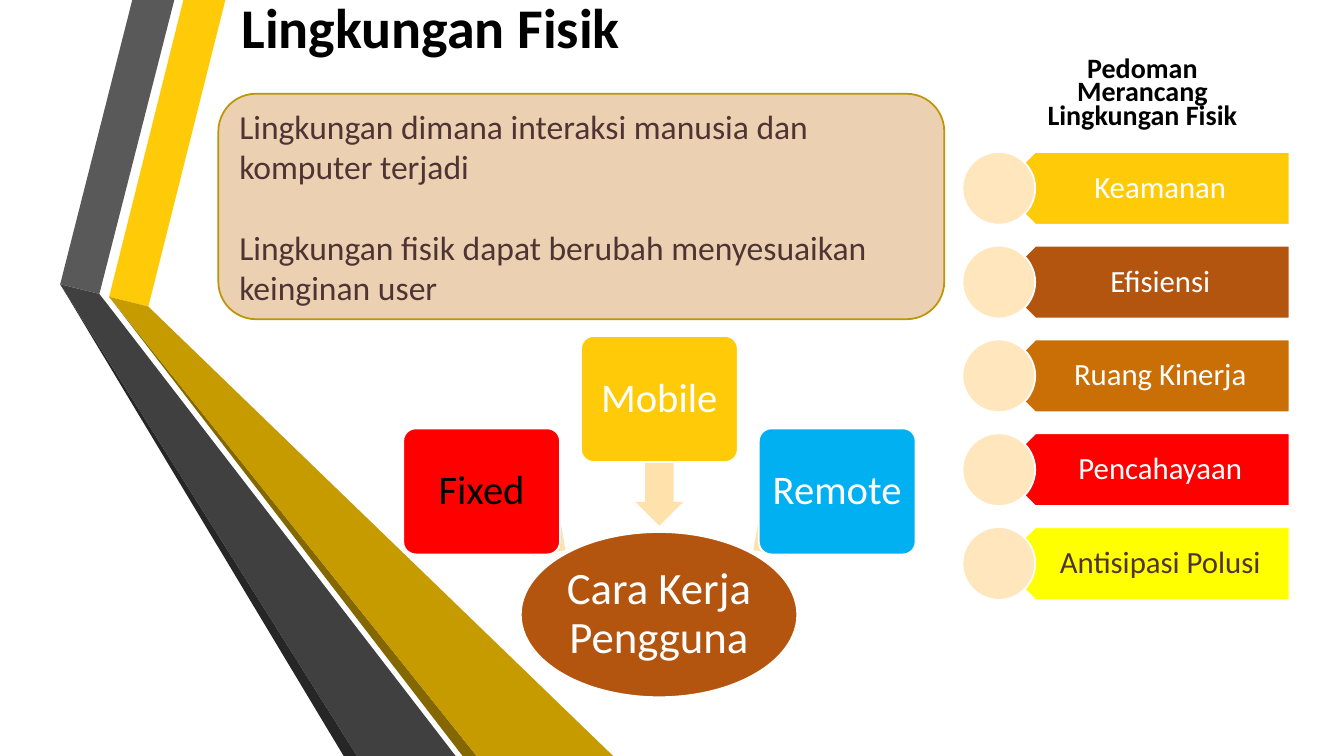
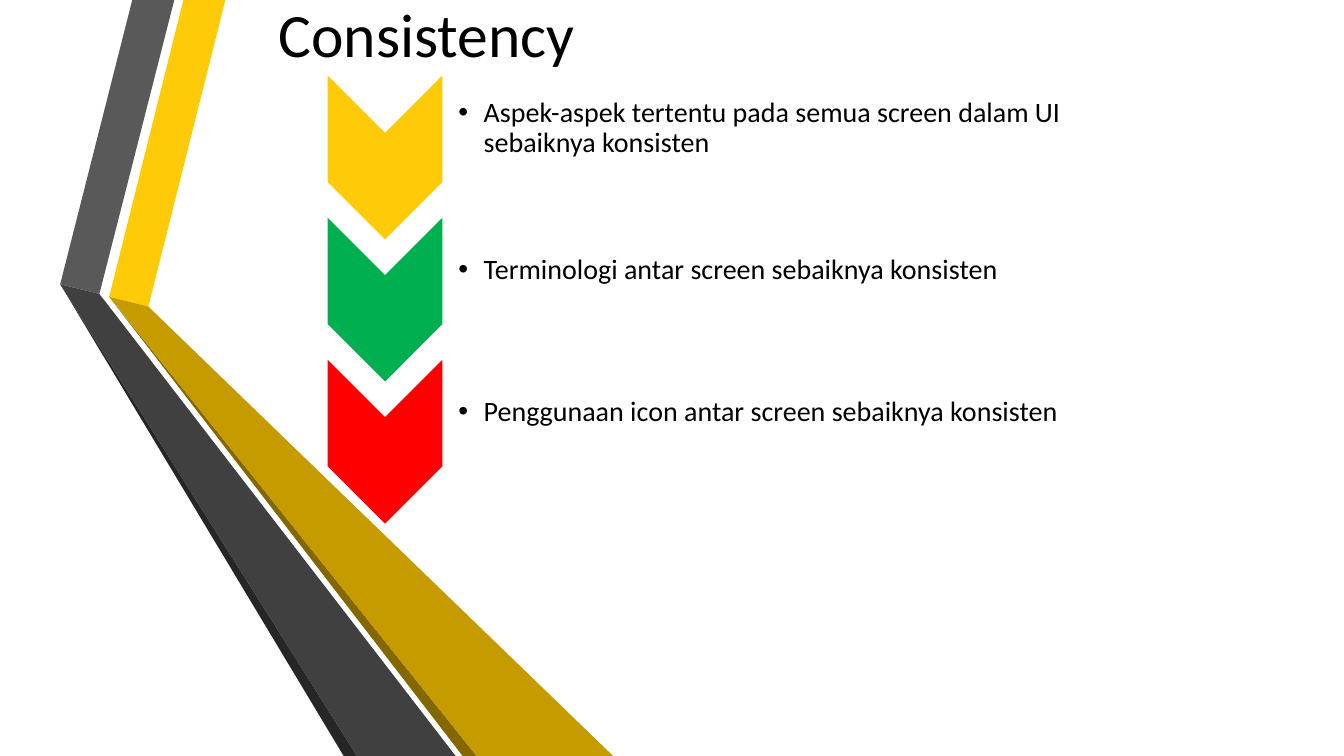
from lxml.etree import SubElement
from pptx import Presentation
from pptx.dml.color import RGBColor
from pptx.enum.shapes import MSO_SHAPE as Preset
from pptx.enum.text import MSO_ANCHOR as Anchor, PP_ALIGN as Align
from pptx.oxml.ns import qn
from pptx.util import Pt

FONT = "Calibri"
BLACK, WHITE, BROWN = "000000", "FFFFFF", "4F3434"
GOLD, RUST, OCHRE, RED = "FFCA08", "B3540F", "CA6F06", "FF0000"
YELLOW, GREEN, BLUE = "FFFF00", "00B050", "00B0F0"
SAND, SAND_EDGE, CREAM, PEACH = "EBD1B2", "BD9506", "FFE6BD", "FFE1AB"

BANDS = [
    (GOLD, [(78, 212), (106, 219), (161, 0), (131, 0)]),
    ("595959", [(71, 210), (124.5, 0), (94.5, 0), (43, 203)]),
    ("262626", [(43, 203), (245.5, 540), (255, 540)]),
    ("846700", [(340.5, 540), (78, 212), (330.5, 540)]),
    ("C59B00", [(78, 212), (340.5, 540), (438, 540), (106, 219)]),
    ("404040", [(325.5, 540), (76.5, 217), (71, 210), (43, 203), (255, 540)]),
]


def rgb(value):
    return RGBColor.from_string(value)


def assign(target, values):
    for name, value in values.items():
        setattr(target, name, value)


class Deck:
    """Holds the shared style and the slide being drawn."""

    def __init__(self):
        self.presentation = Presentation()
        assign(self.presentation, {"slide_width": Pt(960), "slide_height": Pt(540)})
        self.slide = None

    def new_slide(self):
        self.slide = self.presentation.slides.add_slide(self.presentation.slide_layouts[6])
        for color, points in BANDS:
            self.band(color, points)

    def band(self, color, points):
        corners = [(Pt(x), Pt(y)) for x, y in points]
        builder = self.slide.shapes.build_freeform(*corners[0])
        builder.add_line_segments(corners[1:], close=True)
        self.paint(builder.convert_to_shape(), color)

    def paint(self, shape, fill, line=None):
        shape.shadow.inherit = False
        shape.fill.solid()
        shape.fill.fore_color.rgb = rgb(fill)
        if line:
            shape.line.color.rgb = rgb(line)
            shape.line.width = Pt(1.25)
        else:
            shape.line.fill.background()

    def shape(self, preset, box, fill, line=None, rotation=0, adjustments=()):
        shape = self.slide.shapes.add_shape(preset, *map(Pt, box))
        self.paint(shape, fill, line)
        shape.rotation = rotation
        for index, value in enumerate(adjustments):
            shape.adjustments[index] = value
        return shape

    def text(self, box, paragraphs, size, **style):
        shape = self.slide.shapes.add_textbox(*map(Pt, box))
        self.fill_text(shape, paragraphs, size, **style)

    def fill_text(self, shape, paragraphs, size, color=BLACK, bold=False, align=Align.CENTER,
                  anchor=Anchor.MIDDLE, insets=(7.2, 3.6, 7.2, 3.6), spacing=0.9, gap=0,
                  bullet=False):
        frame = shape.text_frame
        sides = ("margin_left", "margin_top", "margin_right", "margin_bottom")
        assign(frame, {"word_wrap": True, "vertical_anchor": anchor})
        assign(frame, dict(zip(sides, map(Pt, insets))))
        for index, content in enumerate(paragraphs):
            paragraph = frame.add_paragraph() if index else frame.paragraphs[0]
            if bullet:
                self.bullet(paragraph)
            assign(paragraph, {"alignment": align, "line_spacing": spacing})
            if index and gap:
                paragraph.space_before = Pt(gap)
            run = paragraph.add_run()
            run.text = content
            assign(run.font, {"name": FONT, "size": Pt(size), "bold": bold})
            run.font.color.rgb = rgb(color)

    def bullet(self, paragraph):
        properties = paragraph._p.get_or_add_pPr()
        properties.set("marL", str(Pt(18)))
        properties.set("indent", str(Pt(-18)))
        SubElement(properties, qn("a:buFont"), typeface="Arial")
        SubElement(properties, qn("a:buChar"), char="•")

    def title(self, content, left, bottom, size, bold=False):
        self.text((left, bottom - 50, 565, 50), [content], size, bold=bold,
                  align=Align.LEFT, anchor=Anchor.BOTTOM)

    def guideline(self, top, label, fill, color):
        self.shape(Preset.PENTAGON, (713.5, top, 207.5, 52), fill, WHITE, rotation=180)
        self.text((726, top, 194.5, 52), [label], 22, color=color, insets=(23, 6.5, 12, 6.5))
        self.shape(Preset.OVAL, (687.5, top, 52, 52), CREAM, WHITE)

    def mode(self, left, top, label, fill, color, arrow, rotation):
        center_x, center_y, length = arrow
        self.shape(Preset.LEFT_ARROW, (center_x - length / 2, center_y - 17, length, 34),
                   PEACH, rotation=rotation, adjustments=(0.6, 0.5))
        card = self.shape(Preset.ROUNDED_RECTANGLE, (left, top, 112, 90), fill, WHITE,
                          adjustments=(0.1,))
        self.fill_text(card, [label], 29, color=color, insets=(4, 4, 4, 4))

    def aspect(self, top, content, fill):
        self.shape(Preset.CHEVRON, (216.5, top + 17.5, 117, 82), fill, rotation=90)
        self.text((316, top + 3.5, 484.5, 68.5), [content], 20, align=Align.LEFT,
                  insets=(11.5, 1, 1, 1), bullet=True)


def physical_environment(deck):
    deck.new_slide()
    deck.title("Lingkungan Fisik", 165.5, 47, 40, bold=True)
    definition = deck.shape(Preset.ROUNDED_RECTANGLE, (156, 67, 518.5, 161), SAND, SAND_EDGE)
    deck.fill_text(definition, ["Lingkungan dimana interaksi manusia dan komputer terjadi",
                                "Lingkungan fisik dapat berubah menyesuaikan keinginan user"],
                   24, color=BROWN, align=Align.LEFT, spacing=1.0, gap=29)

    guidelines = [("Keamanan", GOLD, WHITE), ("Efisiensi", RUST, WHITE),
                  ("Ruang Kinerja", OCHRE, WHITE), ("Pencahayaan", RED, WHITE),
                  ("Antisipasi Polusi", YELLOW, BROWN)]
    for row, guideline in enumerate(guidelines):
        deck.guideline(108.5 + 67 * row, *guideline)
    deck.text((726, 39, 180, 64), ["Pedoman Merancang Lingkungan Fisik"], 20, bold=True,
              anchor=Anchor.TOP, spacing=0.7)

    hub = deck.shape(Preset.OVAL, (372, 380, 197.5, 118), RUST, WHITE)
    deck.fill_text(hub, ["Cara Kerja Pengguna"], 32, color=WHITE, insets=(1.5, 1.5, 1.5, 1.5))
    modes = [(306, "Fixed", RED, BLACK, (374, 372, 73), 215),
             (240, "Mobile", GOLD, WHITE, (471, 330, 91), 270),
             (306, "Remote", BLUE, WHITE, (568, 372, 73), 325)]
    for column, mode in enumerate(modes):
        deck.mode(288 + 127 * column, *mode)


def consistency(deck):
    deck.new_slide()
    deck.title("Consistency", 192, 54, 44)
    aspects = [("Aspek-aspek tertentu pada semua screen dalam UI sebaiknya konsisten", GOLD),
               ("Terminologi antar screen sebaiknya konsisten", GREEN),
               ("Penggunaan icon antar screen sebaiknya konsisten", RED)]
    for row, aspect in enumerate(aspects):
        deck.aspect(54 + 101.5 * row, *aspect)


def main():
    deck = Deck()
    physical_environment(deck)
    consistency(deck)
    deck.presentation.save("out.pptx")


if __name__ == "__main__":
    main()
